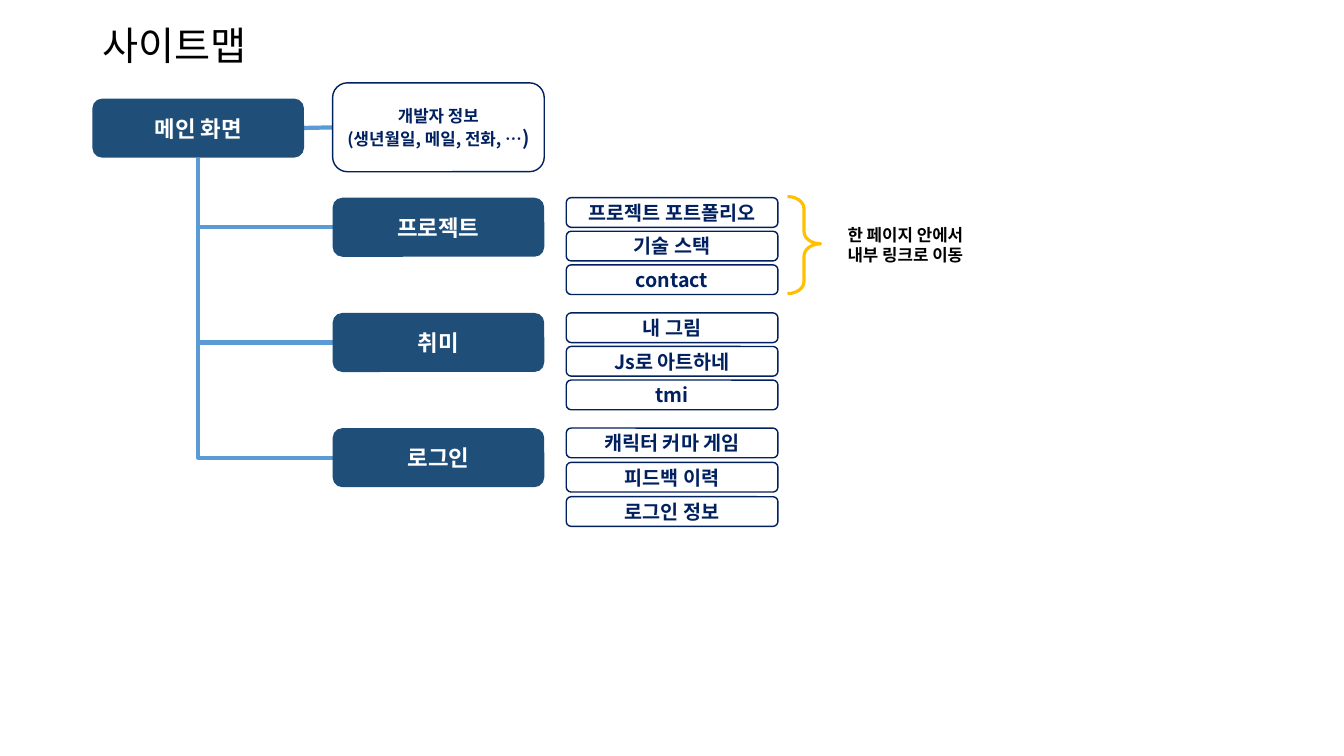
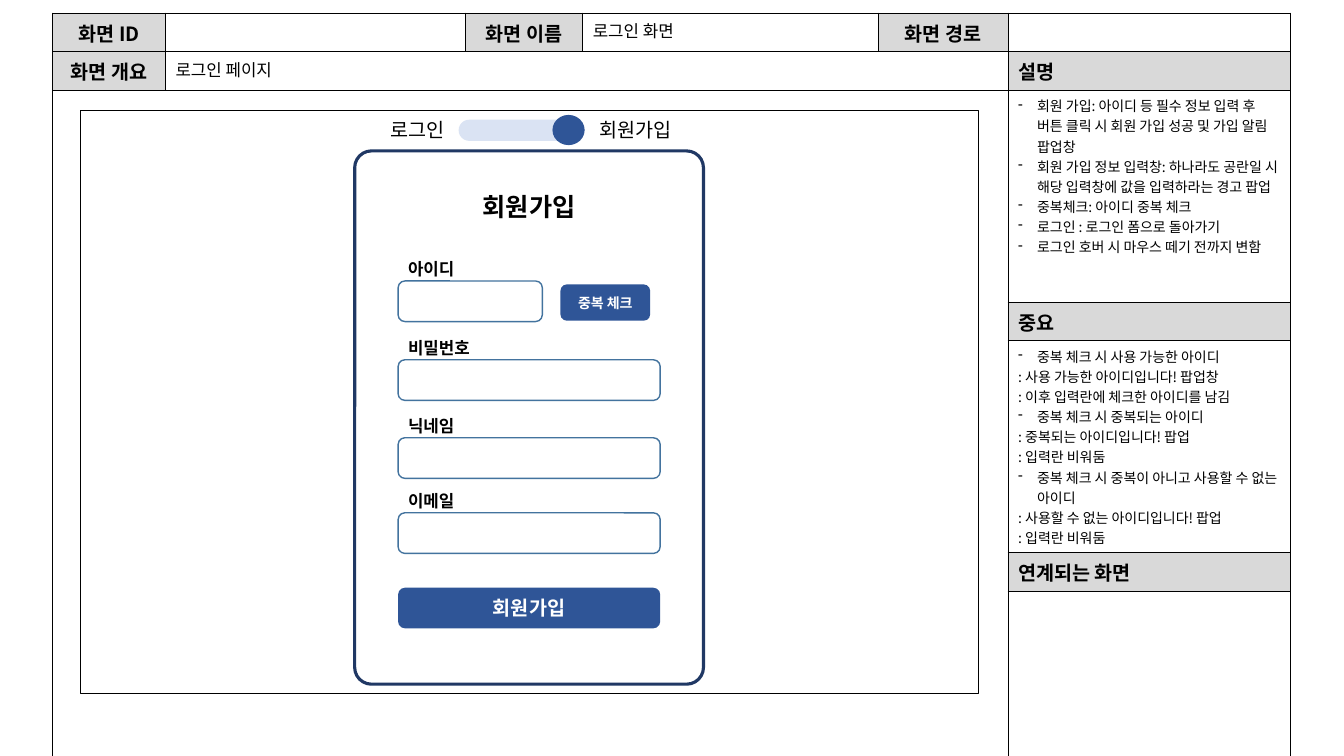
from lxml.etree import SubElement
from pptx import Presentation
from pptx.dml.color import RGBColor
from pptx.enum.shapes import MSO_CONNECTOR, MSO_SHAPE
from pptx.enum.text import MSO_ANCHOR, MSO_AUTO_SIZE, PP_ALIGN
from pptx.oxml.ns import qn
from pptx.util import Pt

# Shared style
FONT = "Noto Sans CJK KR"
BLACK, WHITE, NAVY, DEEP = "000000", "FFFFFF", "002060", "1F4E79"
SKY, GOLD, GREY = "5B9BD5", "FFC000", "D9D9D9"
BLUE, EDGE, FRAME, PALE = "2F5597", "43739E", "203864", "DAE3F3"
LEFT, MID = PP_ALIGN.LEFT, PP_ALIGN.CENTER
ROUND = MSO_SHAPE.ROUNDED_RECTANGLE

# Site map content: branch, leaf pitch, leaves
TITLE = "사이트맵"
MAIN = "메인 화면"
INFO = [[("개발자 정보", 12)], [("(생년월일, 메일, 전화, …", 12), (")", 14)]]
TREE = [
    ("프로젝트", 24, ["프로젝트 포트폴리오", "기술 스택", "contact"]),
    ("취미", 24, ["내 그림", "Js로 아트하네", "tmi"]),
    ("로그인", 24.5, ["캐릭터 커마 게임", "피드백 이력", "로그인 정보"]),
]
NOTE = "한 페이지 안에서 내부 링크로 이동"

# Login screen content: row, column, text
HEADS = [
    (0, 0, "화면 ID"), (0, 2, "화면 이름"), (0, 4, "화면 경로"),
    (1, 0, "화면 개요"), (1, 5, "설명"), (3, 5, "중요"), (5, 5, "연계되는 화면"),
]
VALUES = [(0, 3, "로그인 화면"), (1, 1, "로그인 페이지")]
LISTS = {
    2: [
        "- 회원 가입: 아이디 등 필수 정보 입력 후 버튼 클릭 시 회원 가입 성공 및 가입 알림 팝업창",
        "- 회원 가입 정보 입력창: 하나라도 공란일 시 해당 입력창에 값을 입력하라는 경고 팝업",
        "- 중복체크: 아이디 중복 체크",
        "- 로그인 : 로그인 폼으로 돌아가기",
        "- 로그인 호버 시 마우스 떼기 전까지 변함",
    ],
    4: [
        "- 중복 체크 시 사용 가능한 아이디",
        ": 사용 가능한 아이디입니다! 팝업창",
        ": 이후 입력란에 체크한 아이디를 남김",
        "- 중복 체크 시 중복되는 아이디",
        ": 중복되는 아이디입니다! 팝업",
        ": 입력란 비워둠",
        "- 중복 체크 시 중복이 아니고 사용할 수 없는 아이디",
        ": 사용할 수 없는 아이디입니다! 팝업",
        ": 입력란 비워둠",
    ],
}
COLS = [80.6, 214.6, 83.5, 211, 92.9, 201.6]
ROWS = [24.5, 24.5, 151.2, 26.6, 137.5, 26.6, 122]
MERGES = [((1, 1), (1, 4)), ((2, 0), (6, 4))]
# Field label, top, width
FIELDS = [("아이디", 200.7, 103), ("비밀번호", 257, 187.2),
          ("닉네임", 312.7, 187.2), ("이메일", 366.3, 187.2)]
JOIN, CHECK, LOGIN = "회원가입", "중복 체크", "로그인"


def color(code):
    return RGBColor.from_string(code)


def points(*nums):
    return [Pt(n) for n in nums]


def add_run(para, text, size, ink=BLACK, bold=False):
    run = para.add_run()
    run.text = text
    font = run.font
    font.name, font.size, font.bold = FONT, Pt(size), bold
    font.color.rgb = color(ink)
    SubElement(font._element, qn("a:ea"), typeface=FONT)


def write(frame, paras, ink=BLACK, bold=False, align=LEFT):
    """Each paragraph is a list of (text, size) runs."""
    for i, runs in enumerate(paras):
        para = frame.add_paragraph() if i else frame.paragraphs[0]
        para.alignment = align
        for text, size in runs:
            add_run(para, text, size, ink, bold)


def add_box(on, kind, box, fill=None, line=None, wide=1, adj=()):
    shape = on.add_shape(kind, *points(*box))
    shape.shadow.inherit = False
    if fill:
        shape.fill.solid()
        shape.fill.fore_color.rgb = color(fill)
    else:
        shape.fill.background()
    if line:
        shape.line.color.rgb = color(line)
        shape.line.width = Pt(wide)
    else:
        shape.line.fill.background()
    for i, value in enumerate(adj):
        shape.adjustments[i] = value
    return shape


def label(shape, paras, ink):
    shape.text_frame.vertical_anchor = MSO_ANCHOR.MIDDLE
    write(shape.text_frame, paras, ink, True, MID)


def add_note(on, box, text, size, bold=False, align=LEFT):
    frame = on.add_textbox(*points(*box)).text_frame
    frame.word_wrap = True
    frame.auto_size = MSO_AUTO_SIZE.SHAPE_TO_FIT_TEXT
    write(frame, [[(text, size)]], BLACK, bold, align)


def add_link(on, kind, x1, y1, x2, y2):
    link = on.add_connector(kind, *points(x1, y1, x2, y2))
    link.line.color.rgb = color(SKY)
    link.line.width = Pt(3)
    SubElement(link._element.spPr, qn("a:effectLst"))
    return link


def add_elbow(on, x1, y1, x2, y2):
    """Runs down, then right: a one-bend connector turned by 270 degrees."""
    wide, high = y2 - y1, x2 - x1
    x, y = (x1 + x2 - wide) / 2, (y1 + y2 - high) / 2
    link = add_link(on, MSO_CONNECTOR.ELBOW, x, y, x + wide, y + high)
    form = link._element.spPr.find(qn("a:xfrm"))
    form.set("rot", "16200000")
    form.set("flipH", "1")
    link._element.spPr.find(qn("a:prstGeom")).set("prst", "bentConnector2")


def add_edges(cell):
    props = cell._tc.get_or_add_tcPr()
    for i, side in enumerate(("lnL", "lnR", "lnT", "lnB")):
        edge = SubElement(props, qn("a:" + side), w=str(Pt(1)))
        props.remove(edge)
        props.insert(i, edge)
        fill = SubElement(edge, qn("a:solidFill"))
        SubElement(fill, qn("a:srgbClr"), val=BLACK)


def add_dash(para):
    props = para._p.get_or_add_pPr()
    props.set("marL", str(Pt(13.5)))
    props.set("indent", str(-Pt(13.5)))
    SubElement(props, qn("a:buChar"), char="-")


def site_map(deck):
    slide = deck.slides.add_slide(deck.slide_layouts[5])
    on = slide.shapes

    # Title
    head = on.title
    head.left, head.top, head.width, head.height = points(66, 9.4, 828, 49.7)
    frame = head.text_frame
    frame.auto_size = MSO_AUTO_SIZE.NONE
    frame.vertical_anchor = MSO_ANCHOR.MIDDLE
    write(frame, [[(TITLE, 28)]])
    frame.paragraphs[0].line_spacing = 0.9

    # Main screen and developer details
    wide, high, top, step = 151.2, 42.2, 141.2, 82.3
    main_x, main_y, node_x, leaf_x = 66, 70.4, 237.6, 404.5
    trunk, base = main_x + wide / 2, main_y + high
    add_link(on, MSO_CONNECTOR.STRAIGHT, node_x, 91, main_x + wide, 91.4)
    for i in range(len(TREE)):
        add_elbow(on, trunk, base, node_x, top + i * step + high / 2)
    label(add_box(on, ROUND, (main_x, main_y, wide, high), DEEP),
          [[(MAIN, 16)]], WHITE)
    label(add_box(on, ROUND, (node_x, 59.2, wide, 63.5), line=NAVY), INFO, NAVY)

    # Branches and leaves
    for i, (name, pitch, leaves) in enumerate(TREE):
        y = top + i * step
        label(add_box(on, ROUND, (node_x, y, wide, high), DEEP),
              [[(name, 16)]], WHITE)
        for j, leaf in enumerate(leaves):
            box = (leaf_x, y + j * pitch, wide, 21.2)
            label(add_box(on, ROUND, box, line=NAVY), [[(leaf, 14)]], NAVY)

    # Brace and remark
    add_box(on, MSO_SHAPE.RIGHT_BRACE, (562.5, 140.4, 23.6, 69.4),
            line=GOLD, wide=2.25, adj=(0.369, 0.487))
    add_note(on, (598.3, 157, 115.2, 36), NOTE, 12, True)


def add_table(on):
    frame = on.add_table(len(ROWS), len(COLS),
                         *points(37.6, 9.4, sum(COLS), sum(ROWS)))
    table = frame.table
    table.first_row = table.horz_banding = False
    for col, wide in zip(table.columns, COLS):
        col.width = Pt(wide)
    for row, high in zip(table.rows, ROWS):
        row.height = Pt(high)
    for first, last in MERGES:
        table.cell(*first).merge(table.cell(*last))

    # Cell text
    for row, col, text in HEADS:
        write(table.cell(row, col).text_frame, [[(text, 14)]], BLACK, True,
              LEFT if col == 5 else MID)
    for row, col, text in VALUES:
        write(table.cell(row, col).text_frame, [[(text, 12)]])
    for row, lines in LISTS.items():
        text = table.cell(row, 5).text_frame
        write(text, [[(line.removeprefix("- "), 10)] for line in lines])
        for para, line in zip(text.paragraphs, lines):
            if line.startswith("- "):
                add_dash(para)

    # Cell fills and borders
    grey = {(row, col) for row, col, _ in HEADS}
    for row in range(len(ROWS)):
        for col in range(len(COLS)):
            cell = table.cell(row, col)
            if (row, col) in grey:
                cell.fill.solid()
                cell.fill.fore_color.rgb = color(GREY)
            else:
                cell.fill.background()
            add_edges(cell)
            if not cell.text_frame.text:
                para = cell.text_frame.paragraphs[0]
                SubElement(para._p, qn("a:endParaRPr"), sz="1200")


def login_screen(deck):
    on = deck.slides.add_slide(deck.slide_layouts[6]).shapes
    add_table(on)
    add_box(on, MSO_SHAPE.RECTANGLE, (57.6, 78.8, 641.5, 416.5), line=BLACK)

    # Sign-up form
    form = on.add_group_shape().shapes
    x, wide, high = 284.4, 187.2, 29
    add_box(form, ROUND, (253.4, 107.8, 249.1, 380.9), line=FRAME, wide=2.25,
            adj=(0.048,))
    add_note(form, (x, 133.2, wide, 29), JOIN, 18, True, MID)
    for name, y, span in FIELDS:
        add_box(form, ROUND, (x, y, span, high), line=EDGE)
        add_note(form, (x, y - 19.3, 76.3, 21.6), name, 12, True)
    label(add_box(form, ROUND, (400.3, 203.2, 64.1, 25.9), BLUE, adj=(0.176,)),
          [[(CHECK, 10)]], WHITE)
    label(add_box(form, ROUND, (x, 419.8, wide, high), BLUE),
          [[(JOIN, 14)]], WHITE)

    # Toggle
    group = on.add_group_shape().shapes
    add_box(group, ROUND, (327.6, 85.5, 90, 15.1), PALE, adj=(0.5,))
    add_box(group, MSO_SHAPE.OVAL, (394.6, 82.1, 23, 21.6), BLUE)
    add_note(group, (266.4, 80.6, 64.1, 24.5), LOGIN, 14, align=MID)
    add_note(group, (417.6, 80.6, 72.7, 24.5), JOIN, 14, align=MID)


deck = Presentation()
deck.slide_width, deck.slide_height = points(960, 540)
site_map(deck)
login_screen(deck)
deck.save("out.pptx")
